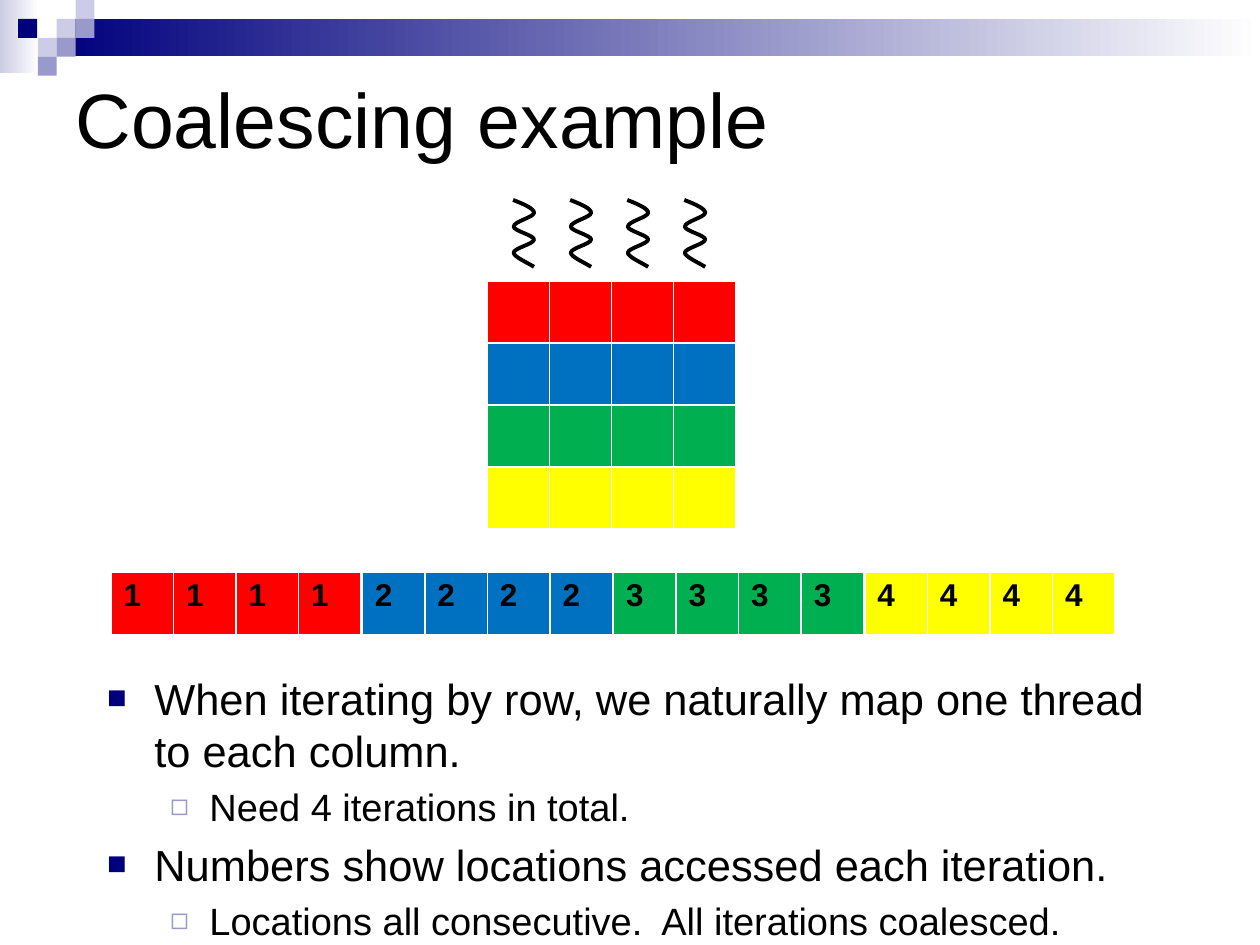
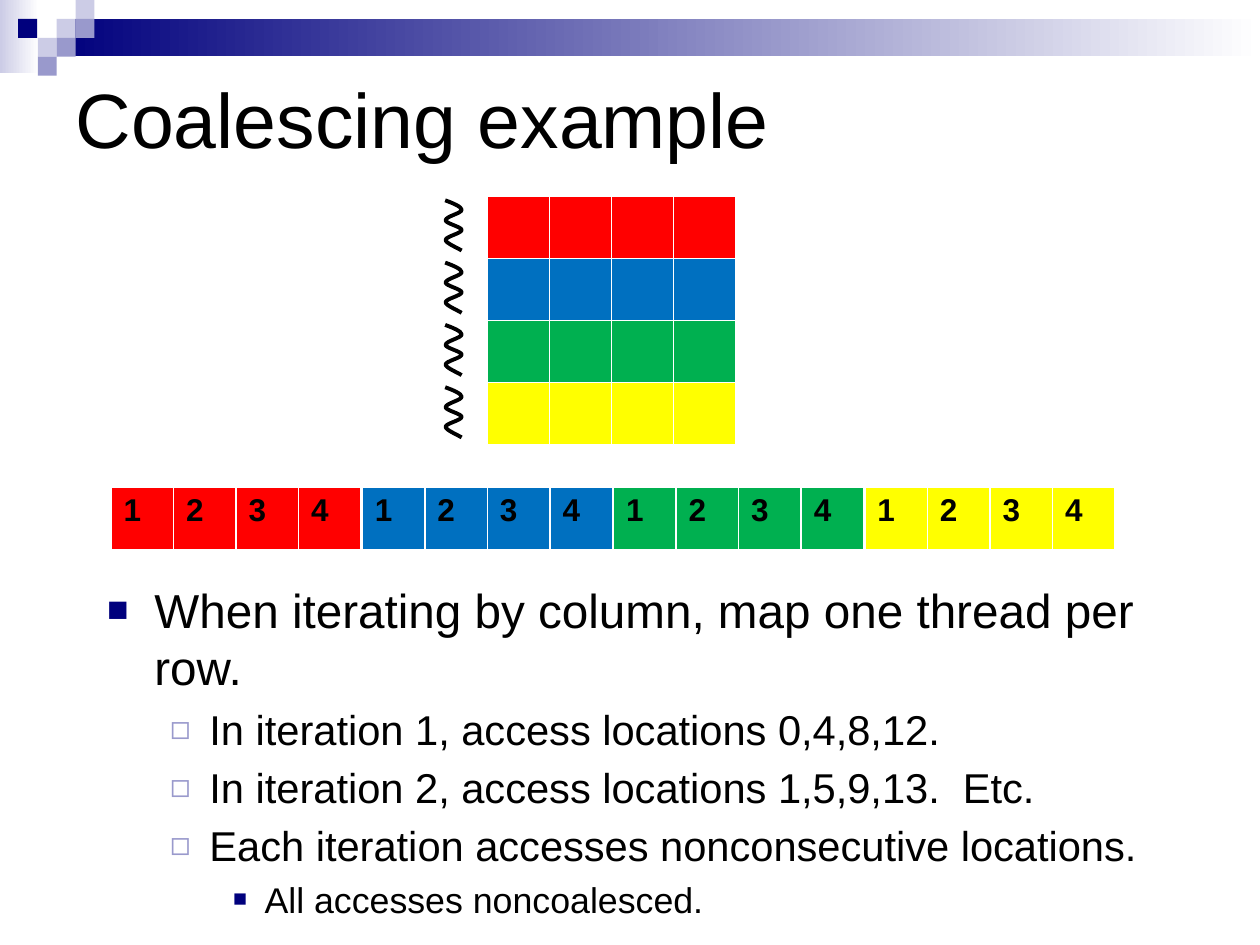
from lxml import etree
from pptx import Presentation
from pptx.dml.color import RGBColor
from pptx.enum.shapes import MSO_SHAPE
from pptx.enum.text import MSO_ANCHOR, MSO_AUTO_SIZE, PP_ALIGN
from pptx.oxml.ns import qn
from pptx.util import Pt

RECT = MSO_SHAPE.RECTANGLE
LEFT = PP_ALIGN.LEFT
TOP, MIDDLE = MSO_ANCHOR.TOP, MSO_ANCHOR.MIDDLE
NO_FIT = MSO_AUTO_SIZE.NONE

FONT = "Arial"
BLACK = RGBColor(0x00, 0x00, 0x00)
WHITE = RGBColor(0xFF, 0xFF, 0xFF)
NAVY = RGBColor(0x00, 0x00, 0x7D)
LILAC = RGBColor(0x99, 0x99, 0xCC)
PALE = RGBColor(0xCC, 0xCC, 0xE6)
RED = RGBColor(0xFF, 0x00, 0x00)
BLUE = RGBColor(0x00, 0x70, 0xC0)
GREEN = RGBColor(0x00, 0xB0, 0x50)
YELLOW = RGBColor(0xFF, 0xFF, 0x00)
ROW_COLORS = [RED, BLUE, GREEN, YELLOW]

# Header band and squares: left, top, width, height, colour, fades to white
HEADER = [
    (0, 0, 22.3, 41.8, PALE, True),
    (32.4, 10.8, 687.6, 21.2, NAVY, True),
    (32.4, 10.8, 10.8, 10.8, PALE, False),
    (43.2, 0, 10.8, 10.8, PALE, False),
    (43.2, 10.8, 10.8, 10.8, LILAC, False),
    (21.6, 21.6, 10.8, 10.8, PALE, False),
    (10.4, 10.8, 10.8, 10.8, NAVY, False),
    (32.4, 21.6, 10.8, 10.8, LILAC, False),
    (21.6, 32.4, 10.8, 10.8, LILAC, False),
]

# Bullet levels: left margin, hanging indent, character, colour, size in percent
LEVELS = [
    (27, 27, "■", NAVY, 75),
    (58.5, 22.5, "◻", LILAC, 80),
    (90, 18, "■", NAVY, 65),
]

# Thread squiggle in a unit box: Bezier curves, each from the last point
WAVE = [
    ((0.5, 0.06), (1, 0.13), (1, 0.19)),
    ((1, 0.26), (0.03, 0.32), (0.03, 0.4)),
    ((0.03, 0.46), (1, 0.53), (1, 0.59)),
    ((1, 0.66), (0.03, 0.72), (0.03, 0.79)),
    ((0.03, 0.85), (0.7, 0.94), (1, 1)),
]

SLIDES = [
    {
        "matrix_top": 160.6, "memory_top": 326.8, "numbers": ["1111", "2222", "3333", "4444"],
        "threads": [(293.2 + 32.6 * i, 114.3) for i in range(4)], "thread_size": (12, 38.2),
        "body": (380.2, 159.8), "sizes": (24.8, 21.7),
        "bullets": [
            (0, "When iterating by row, we naturally map one thread to each column."),
            (1, "Need 4 iterations in total."),
            (0, "Numbers show locations accessed each iteration."),
            (1, "Locations all consecutive.  All iterations coalesced."),
        ],
    },
    {
        "matrix_top": 112.2, "memory_top": 278.2, "numbers": ["1234"] * 4,
        "threads": [(254.4, 114.5 + 35.6 * i) for i in range(4)], "thread_size": (9.4, 28.7),
        "body": (328.3, 197.3), "sizes": (27.2, 23.8, 20.4),
        "bullets": [
            (0, "When iterating by column, map one thread per row."),
            (1, "In iteration 1, access locations 0,4,8,12."),
            (1, "In iteration 2, access locations 1,5,9,13.  Etc."),
            (1, "Each iteration accesses nonconsecutive locations."),
            (2, "All accesses noncoalesced."),
        ],
    },
]


def write(p, text, size=18, bold=False, color=BLACK):
    p.alignment = LEFT
    r = p.add_run()
    r.text = text
    r.font.name, r.font.size = FONT, Pt(size)
    r.font.bold = bold
    r.font.color.rgb = color


def add_grid(s, left, top, cell_size, colors, numbers=""):
    """Four-column table, one colour a row; the table style draws the white borders."""
    table = s.shapes.add_table(len(colors), 4, Pt(left), Pt(top),
                               Pt(4 * cell_size), Pt(len(colors) * cell_size)).table
    for col in table.columns:
        col.width = Pt(cell_size)
    for i, color in enumerate(colors):
        table.rows[i].height = Pt(cell_size)
        for cell in table.rows[i].cells:
            cell.fill.solid()
            cell.fill.fore_color.rgb = color
    for j, number in enumerate(numbers):
        write(table.cell(0, j).text_frame.paragraphs[0], number, bold=True)


prs = Presentation()
prs.slide_width, prs.slide_height = Pt(720), Pt(540)
layout = prs.slide_layouts[1]

for n, data in enumerate(SLIDES):
    s = prs.slides.add_slide(layout)

    # Header: drawn once, then moved to the master behind its placeholders
    if n == 0:
        master_tree = prs.slide_master.shapes.element
        for i, (x, y, w, h, color, fades) in enumerate(HEADER):
            sp = s.shapes.add_shape(RECT, Pt(x), Pt(y), Pt(w), Pt(h))
            sp.shadow.inherit = False
            sp.line.fill.background()
            if fades:
                sp.fill.gradient()
                sp.fill.gradient_angle = 0
                for stop, stop_color in zip(sp.fill.gradient_stops, (color, WHITE)):
                    stop.color.rgb = stop_color
            else:
                sp.fill.solid()
                sp.fill.fore_color.rgb = color
            master_tree.insert(2 + i, sp.element)

    # Title
    title = s.shapes.title
    title.left, title.top, title.width, title.height = Pt(36), Pt(36), Pt(648), Pt(62)
    tf = title.text_frame
    tf.auto_size, tf.vertical_anchor = NO_FIT, MIDDLE
    write(tf.paragraphs[0], "Coalescing example", size=44)

    # Bullet list
    body = s.placeholders[1]
    top, height = data["body"]
    body.left, body.top, body.width, body.height = Pt(54), Pt(top), Pt(612), Pt(height)
    tf = body.text_frame
    tf.auto_size, tf.vertical_anchor = NO_FIT, TOP
    for i, (level, text) in enumerate(data["bullets"]):
        p = tf.paragraphs[0] if i == 0 else tf.add_paragraph()
        p.level = level
        write(p, text, size=data["sizes"][level])
        margin, hang, char, color, percent = LEVELS[level]
        pPr = p._p.get_or_add_pPr()
        pPr.set("marL", str(Pt(margin)))
        pPr.set("indent", str(-Pt(hang)))
        bu_color = etree.SubElement(pPr, qn("a:buClr"))
        etree.SubElement(bu_color, qn("a:srgbClr"), val=str(color))
        etree.SubElement(pPr, qn("a:buSzPct"), val=str(percent * 1000))
        etree.SubElement(pPr, qn("a:buFont"), typeface=FONT)
        etree.SubElement(pPr, qn("a:buChar"), char=char)

    # Matrix, and the same rows laid out in memory
    add_grid(s, 278.6, data["matrix_top"], 35.45, ROW_COLORS)
    for i, (color, numbers) in enumerate(zip(ROW_COLORS, data["numbers"])):
        add_grid(s, 63.4 + 143.6 * i, data["memory_top"], 35.75, [color], numbers)

    # Threads: straight segments between the nodes, then turned into curves
    w, h = data["thread_size"]
    for x, y in data["threads"]:
        builder = s.shapes.build_freeform(Pt(x), Pt(y))
        builder.add_line_segments([(Pt(x + w * end[0]), Pt(y + h * end[1]))
                                   for _, _, end in WAVE], close=False)
        sp = builder.convert_to_shape()
        sp.shadow.inherit = False
        sp.fill.background()
        sp.line.color.rgb, sp.line.width = BLACK, Pt(2.25)
        segments = list(sp.element.iter(qn("a:lnTo")))
        for segment, curve in zip(segments, WAVE):
            bezier = etree.Element(qn("a:cubicBezTo"))
            for px, py in curve:
                etree.SubElement(bezier, qn("a:pt"), x=str(Pt(w * px)), y=str(Pt(h * py)))
            segment.getparent().replace(segment, bezier)

prs.save("out.pptx")
